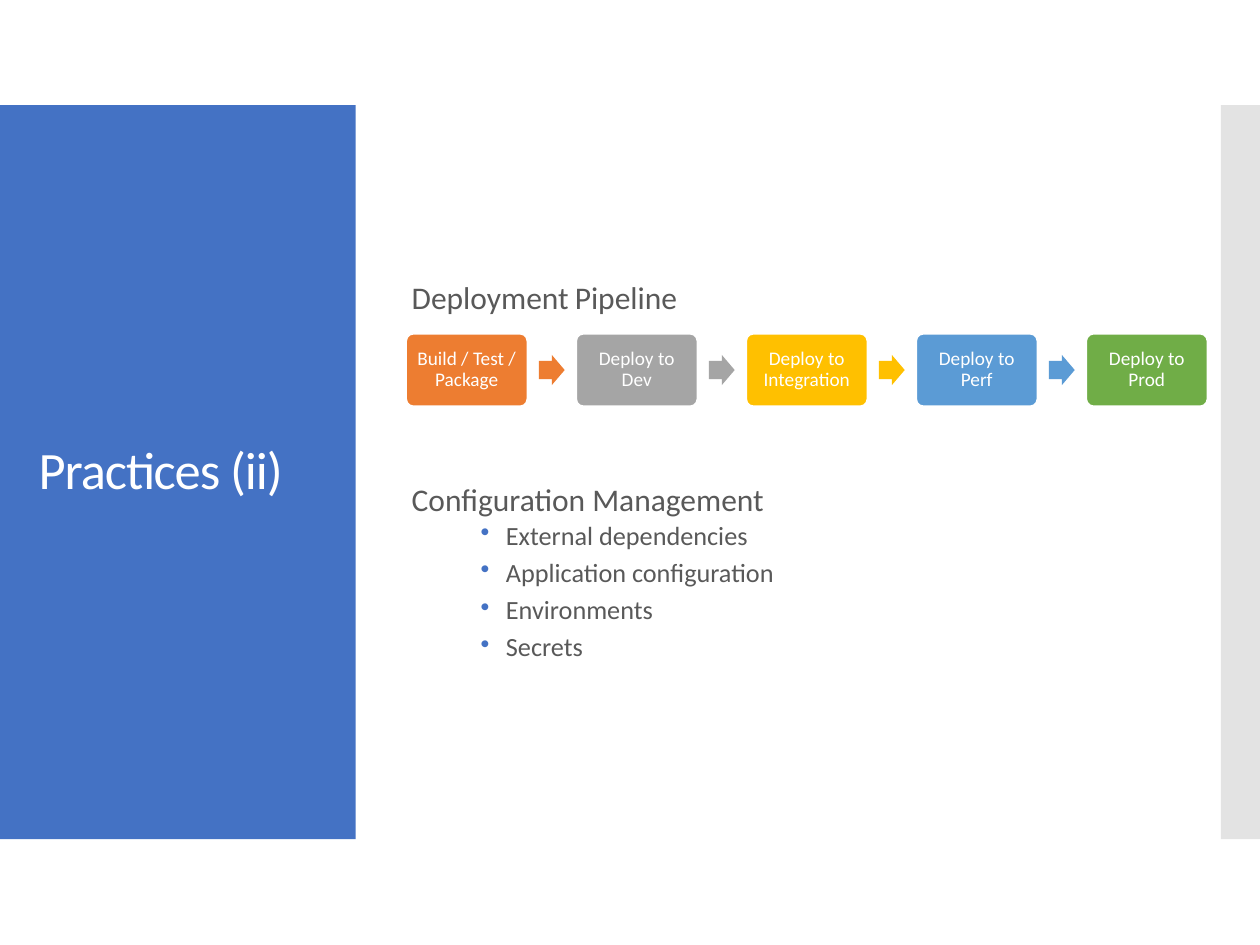
from lxml.etree import SubElement
from pptx import Presentation
from pptx.dml.color import RGBColor
from pptx.enum.shapes import MSO_SHAPE
from pptx.enum.text import MSO_ANCHOR, PP_ALIGN
from pptx.oxml.ns import qn
from pptx.util import Cm, Pt

BLUE = RGBColor(0x44, 0x72, 0xC4)
ORANGE = RGBColor(0xED, 0x7D, 0x31)
GREY = RGBColor(0xA5, 0xA5, 0xA5)
GOLD = RGBColor(0xFF, 0xC0, 0x00)
SKY = RGBColor(0x5B, 0x9B, 0xD5)
GREEN = RGBColor(0x70, 0xAD, 0x47)
SILVER = RGBColor(0xC8, 0xC8, 0xC8)
TEXT = RGBColor(0x59, 0x59, 0x59)
BLACK = RGBColor(0x00, 0x00, 0x00)
WHITE = RGBColor(0xFF, 0xFF, 0xFF)

STEPS = [
    ("Build / Test / Package", ORANGE),
    ("Deploy to Dev", GREY),
    ("Deploy to Integration", GOLD),
    ("Deploy to Perf", SKY),
    ("Deploy to Prod", GREEN),
]
TOPICS = ["External dependencies", "Application configuration", "Environments", "Secrets"]


def add_block(shapes, kind, x, y, w, h, color):
    sp = shapes.add_shape(kind, Cm(x), Cm(y), Cm(w), Cm(h))
    sp.shadow.inherit = False
    sp.fill.solid()
    sp.fill.fore_color.rgb = color
    sp.line.fill.background()
    return sp


def add_text_box(s, x, y, w, h, anchor=MSO_ANCHOR.MIDDLE, wrap=True):
    tf = s.shapes.add_textbox(Cm(x), Cm(y), Cm(w), Cm(h)).text_frame
    tf.word_wrap = wrap
    tf.vertical_anchor = anchor
    return tf


def add_run(p, text, size, color):
    r = p.add_run()
    r.text = text
    r.font.name = "Calibri"
    r.font.size = Pt(size)
    r.font.color.rgb = color
    return r


def add_bullet(p):
    pPr = p._p.get_or_add_pPr()
    pPr.set("marL", str(Cm(1.9)))
    pPr.set("indent", str(-Cm(0.51)))
    clr = SubElement(pPr, qn("a:buClr"))
    SubElement(clr, qn("a:srgbClr"), val=str(BLUE))
    SubElement(pPr, qn("a:buChar"), char="•")


def add_title_panel(s, x, y, w, h):
    add_block(s.shapes, MSO_SHAPE.RECTANGLE, x, y, w, h, BLUE)
    tf = add_text_box(s, x + 0.53, y + 1, w - 1.01, h - 2)
    p = tf.paragraphs[0]
    p.line_spacing = 0.9
    r = add_run(p, "Practices (ii)", 30, WHITE)
    r.font._element.set("spc", "-60")


def add_side_strip(s, x, y, w, h):
    sp = add_block(s.shapes, MSO_SHAPE.RECTANGLE, x, y, w, h, SILVER)
    clr = sp.fill._xPr.find(qn("a:solidFill")).find(qn("a:srgbClr"))
    SubElement(clr, qn("a:alpha"), val="50000")


def add_pipeline_heading(s, x, y, w, h):
    p = add_text_box(s, x, y, w, h, MSO_ANCHOR.TOP, wrap=False).paragraphs[0]
    add_run(p, "Deployment", 18, TEXT)
    add_run(p, " ", 15, BLACK)
    add_run(p, "Pipeline", 18, TEXT)


def add_pipeline(s, x, y, w, h):
    step_w, arrow_w, arrow_h = 2.44, 0.52, 0.61
    pitch = (w - step_w) / (len(STEPS) - 1)
    arrow_dx = step_w + (pitch - step_w - arrow_w) / 2
    shapes = s.shapes.add_group_shape().shapes
    for i, (label, color) in enumerate(STEPS):
        left = x + i * pitch
        sp = add_block(shapes, MSO_SHAPE.ROUNDED_RECTANGLE, left, y, step_w, h, color)
        sp.adjustments[0] = 0.1
        sp.line.color.rgb = WHITE
        sp.line.width = Pt(0.85)
        tf = sp.text_frame
        tf.word_wrap = True
        tf.vertical_anchor = MSO_ANCHOR.MIDDLE
        tf.margin_left = tf.margin_right = tf.margin_top = tf.margin_bottom = Cm(0.17)
        p = tf.paragraphs[0]
        p.alignment = PP_ALIGN.CENTER
        p.line_spacing = 0.9
        add_run(p, label, 11, WHITE)
        if i < len(STEPS) - 1:
            arrow = add_block(shapes, MSO_SHAPE.RIGHT_ARROW, left + arrow_dx,
                              y + (h - arrow_h) / 2, arrow_w, arrow_h, color)
            arrow.adjustments[0] = 0.6
            arrow.adjustments[1] = 0.5


def add_configuration(s, x, y, w, h):
    tf = add_text_box(s, x, y, w, h)
    tf.margin_bottom = Cm(1.25)
    p = tf.paragraphs[0]
    p.line_spacing = 0.9
    p.space_before = Pt(12)
    add_run(p, "Configuration Management", 18, TEXT)
    for topic in TOPICS:
        p = tf.add_paragraph()
        p.level = 1
        p.line_spacing = 0.9
        p.space_before = p.space_after = Pt(2.5)
        add_bullet(p)
        add_run(p, topic, 15, TEXT)


def main():
    prs = Presentation()
    prs.slide_width, prs.slide_height = Cm(25.4), Cm(19.05)
    s = prs.slides.add_slide(prs.slide_layouts[6])
    add_title_panel(s, 0, 2.12, 7.17, 14.8)
    add_side_strip(s, 24.61, 2.12, 0.79, 14.8)
    add_configuration(s, 8.05, 9.42, 15.24, 5.41)
    add_pipeline(s, 8.19, 6.73, 16.15, 1.46)
    add_pipeline_heading(s, 8.05, 5.49, 6.05, 1.02)
    prs.save("out.pptx")


if __name__ == "__main__":
    main()
